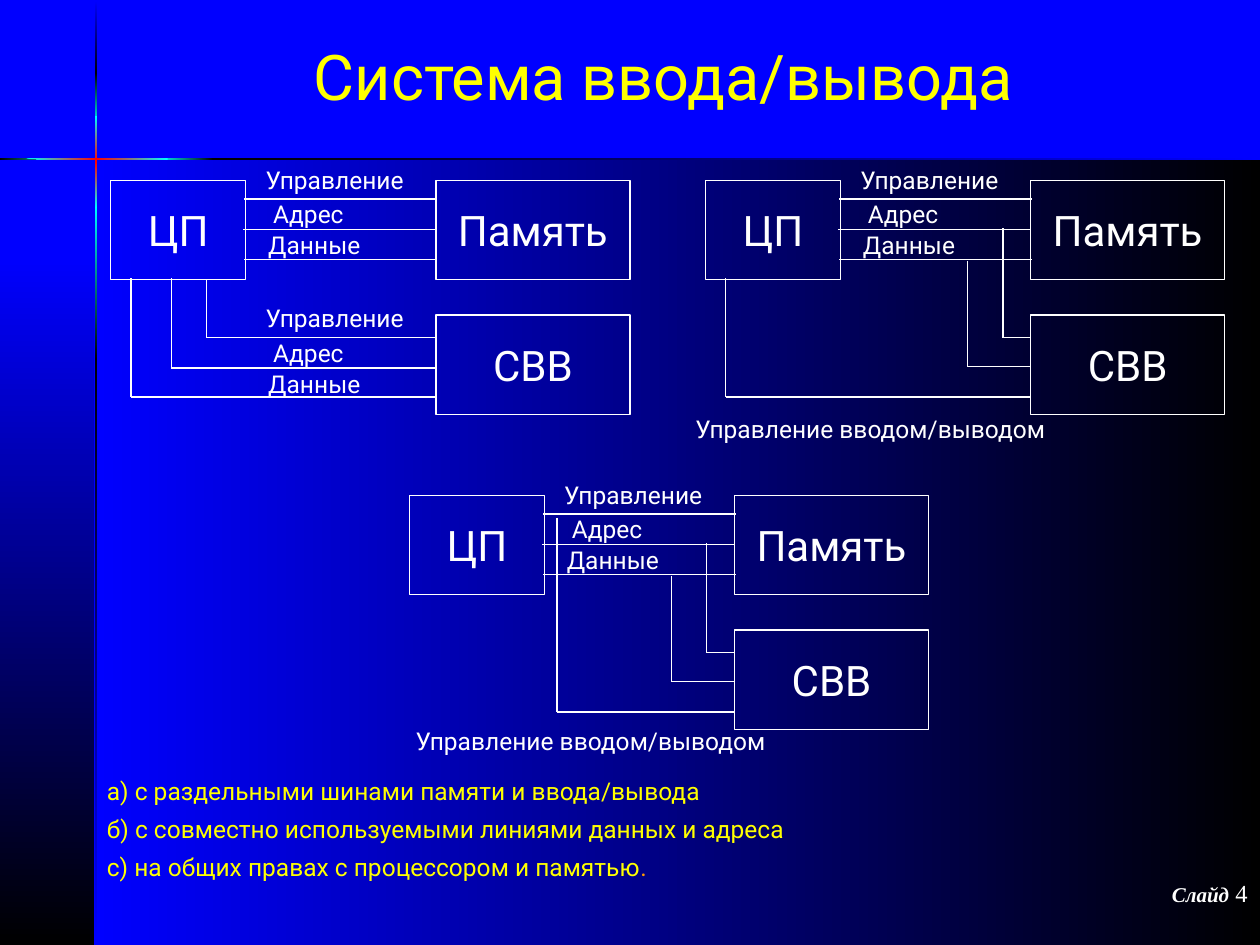
from copy import deepcopy

from lxml import etree
from pptx import Presentation
from pptx import util as u
from pptx.dml.color import RGBColor
from pptx.enum import shapes, text
from pptx.oxml import ns

COLORS = {"blue": "0000FF", "black": "000000", "cyan": "00FFFF", "red": "FF0000",
          "white": "FFFFFF", "yellow": "FFFF00", "orange": "FF9900"}
SANS = {"name": "Roboto"}
LABEL = {**SANS, "size": u.Pt(14)}
NODE = {**SANS, "size": u.Pt(24)}
TITLE = {**SANS, "size": u.Pt(36)}
FOOTER = {"name": "Times New Roman", "size": u.Pt(12), "bold": True, "italic": True}
NUMBER = {"name": "Times New Roman", "size": u.Pt(14)}

BUS_LABELS = [("Управление", 1.13, -0.17, 1.36), ("Адрес", 1.19, 0.1, 0.76),
              ("Данные", 1.15, 0.35, 0.95)]
BUS_LINES = [(1.06, 2.59, 0.15), (1.05, 2.58, 0.39), (1.06, 2.59, 0.63)]
SHARED = [(2.36, 0.38, 1.25), (2.08, 0.64, 1.48)]
IO_CONTROL = "Управление вводом/выводом"


def rgb(color):
    """Return the named colour."""
    return RGBColor.from_string(COLORS[color])


def inches(*values):
    """Turn numbers into lengths."""
    return [u.Inches(value) for value in values]


def add_span(para, words, style, color):
    """Add one formatted run to a paragraph."""
    span = para.add_run()
    span.text = words
    for key, value in style.items():
        setattr(span.font, key, value)
    span.font.color.rgb = rgb(color)


def add_label(page, words, *box):
    """Place a short unwrapped white label."""
    frame = page.shapes.add_textbox(*inches(*box)).text_frame
    frame.word_wrap = False
    frame.auto_size = text.MSO_AUTO_SIZE.SHAPE_TO_FIT_TEXT
    add_span(frame.paragraphs[0], words, LABEL, "white")


def add_node(page, words, *box):
    """Place an outlined block with a centred name."""
    node = page.shapes.add_shape(shapes.MSO_SHAPE.RECTANGLE, *inches(*box))
    node.shadow.inherit = False
    node.fill.background()
    node.line.color.rgb = rgb("white")
    node.line.width = u.Pt(0.75)
    frame = node.text_frame
    frame.word_wrap = False
    frame.vertical_anchor = text.MSO_ANCHOR.MIDDLE
    frame.paragraphs[0].alignment = text.PP_ALIGN.CENTER
    add_span(frame.paragraphs[0], words, NODE, "white")


def add_wire(page, *ends):
    """Draw a straight white wire."""
    wire = page.shapes.add_connector(shapes.MSO_CONNECTOR.STRAIGHT, *inches(*ends))
    wire.line.color.rgb = rgb("white")
    wire.line.width = u.Pt(0.75)
    etree.SubElement(wire._element.spPr, ns.qn("a:effectLst"))


def paint_gradient(shape, colors, angle):
    """Fill a shape with evenly spaced colours, angle measured clockwise."""
    shape.shadow.inherit = False
    shape.line.fill.background()
    shape.fill.gradient()
    shape.fill.gradient_angle = (360 - angle) % 360
    stops = shape._element.spPr.find(".//" + ns.qn("a:gsLst"))
    for _ in colors[2:]:
        stops.append(deepcopy(stops[-1]))
    for index, (stop, color) in enumerate(zip(shape.fill.gradient_stops, colors)):
        stop.position = index / (len(colors) - 1)
        stop.color.rgb = rgb(color)


def add_backdrop(page):
    """Paint the gradient panels and the glowing cross lines."""
    page.background.fill.solid()
    page.background.fill.fore_color.rgb = rgb("blue")
    bands = [
        ((0.75, 1.25, 9.25, 6.25), ["blue", "black"], 0),
        ((0, 2.02, 0.75, 5.48), ["blue", "black"], 90),
        ((0.75, 0.01, 0.02, 0.58), ["blue", "black"], 90),
        ((0.75, 2.82, 0.02, 4.68), ["black", "blue"], 90),
        ((0.75, 1.63, 0.02, 1.22), ["cyan", "black"], 90),
        ((0.75, 0.58, 0.02, 0.44), ["black", "cyan"], 90),
        ((0.75, 0.92, 0.02, 0.73), ["cyan", "red", "cyan"], 90),
        ((0, 1.25, 0.61, 0.02), ["black", "cyan"], 0),
        ((1.67, 1.25, 8.33, 0.02), ["black", "blue"], 0),
        ((1.25, 1.25, 0.44, 0.02), ["cyan", "black"], 0),
    ]
    for box, colors, angle in bands:
        band = page.shapes.add_shape(shapes.MSO_SHAPE.RECTANGLE, *inches(*box))
        paint_gradient(band, colors, angle)
    outline = page.shapes.build_freeform(*inches(0.21, 1.26), scale=1.0)
    corners = [(0.6, 1.27), (1.33, 1.27), (1.33, 1.25), (0.6, 1.25)]
    outline.add_line_segments([inches(*corner) for corner in corners], close=True)
    paint_gradient(outline.convert_to_shape(), ["cyan", "red", "cyan"], 0)


def add_diagram(page, left, top, elbows, label_rows=(0,), caption=None):
    """Draw processor, memory and I/O blocks with their buses."""
    add_node(page, "Память", left + 2.58, top, 1.54, 0.79)
    add_node(page, "СВВ", left + 2.58, top + 1.07, 1.54, 0.79)
    add_node(page, "ЦП", left, top, 1.07, 0.79)
    for start, end, y in BUS_LINES:
        add_wire(page, left + start, top + y, left + end, top + y)
    for x, start, end in elbows:
        add_wire(page, left + x, top + end, left + 2.58, top + end)
        add_wire(page, left + x, top + start, left + x, top + end)
    for row in label_rows:
        for words, x, y, width in BUS_LABELS:
            add_label(page, words, left + x, top + row + y, width, 0.34)
    if caption:
        x, y = caption
        add_label(page, IO_CONTROL, left + x, top + y, 3.08, 0.34)


def add_title(page, *box):
    """Place the centred heading."""
    frame = page.shapes.add_textbox(*inches(*box)).text_frame
    frame.word_wrap = True
    frame.vertical_anchor = text.MSO_ANCHOR.MIDDLE
    frame.paragraphs[0].alignment = text.PP_ALIGN.CENTER
    add_span(frame.paragraphs[0], "Система ввода/вывода", TITLE, "yellow")


def add_legend(page, *box):
    """List the three ways of connecting input and output."""
    frame = page.shapes.add_textbox(*inches(*box)).text_frame
    frame.word_wrap = True
    lines = ["а) с раздельными шинами памяти и ввода/вывода",
             "б) с совместно используемыми линиями данных и адреса",
             "с) на общих правах с процессором и памятью"]
    for index, words in enumerate(lines):
        para = frame.add_paragraph() if index else frame.paragraphs[0]
        para.space_before = u.Pt(5)
        indent = para._p.get_or_add_pPr()
        indent.set("marL", str(u.Inches(0.38)))
        indent.set("indent", str(u.Inches(-0.38)))
        add_span(para, words, LABEL, "yellow")
    add_span(para, ".", LABEL, "orange")


def add_footer(page, *box):
    """Place the slide number."""
    frame = page.shapes.add_textbox(*inches(*box)).text_frame
    frame.word_wrap = True
    para = frame.paragraphs[0]
    para.alignment = text.PP_ALIGN.RIGHT
    add_span(para, "Слайд", FOOTER, "white")
    add_span(para, " 4", NUMBER, "white")


def main():
    """Build and save the deck."""
    deck = Presentation()
    deck.slide_width, deck.slide_height = inches(10, 7.5)
    page = deck.slides.add_slide(deck.slide_layouts[6])
    add_backdrop(page)
    add_footer(page, 7.92, 6.92, 2.08, 0.5)
    add_title(page, 1.15, 0.18, 8.23, 0.83)
    add_legend(page, 0.75, 6.11, 9.25, 1)
    separate = [(0.76, 0.79, 1.25), (0.48, 0.78, 1.49), (0.16, 0.78, 1.72)]
    add_diagram(page, 0.88, 1.43, separate, label_rows=(0, 1.1))
    add_diagram(page, 5.6, 1.43, SHARED + [(0.16, 0.78, 1.72)], caption=(-0.18, 1.81))
    add_diagram(page, 3.25, 3.93, SHARED + [(1.17, 0.18, 1.72)], caption=(-0.05, 1.78))
    deck.save("out.pptx")


if __name__ == "__main__":
    main()
